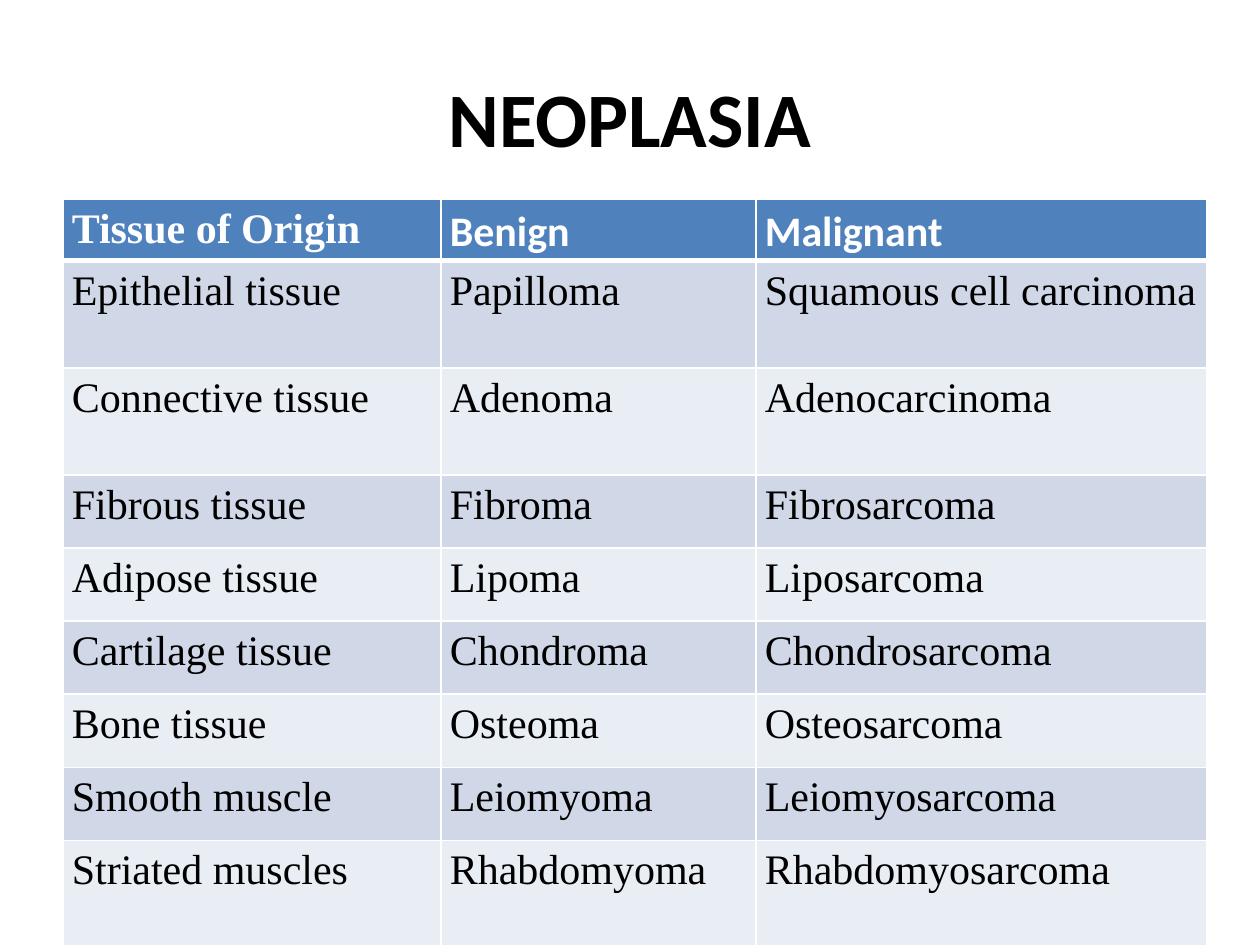
from dataclasses import dataclass
from typing import NamedTuple

from lxml.etree import SubElement
from pptx import Presentation
from pptx.dml.color import RGBColor
from pptx.enum.text import MSO_ANCHOR, PP_ALIGN
from pptx.oxml.ns import qn
from pptx.util import Inches, Pt


@dataclass(frozen=True)
class Theme:
    heading_font: str = "Calibri"
    body_font: str = "Times New Roman"
    title_size: int = 44
    table_size: int = 24
    black: str = "000000"
    white: str = "FFFFFF"
    header_fill: str = "4F81BD"
    bands: tuple[str, str] = ("D0D8E8", "E9EDF4")
    grid_width: int = 1
    header_rule_width: int = 3


class Tumour(NamedTuple):
    tissue: str
    benign: str
    malignant: str
    height: float = 0.58


THEME = Theme()
HEADER = Tumour("Tissue of Origin", "Benign", "Malignant", 0.49)
TUMOURS = [
    Tumour("Epithelial tissue", "Papilloma", "Squamous cell carcinoma", 0.85),
    Tumour("Connective tissue", "Adenoma", "Adenocarcinoma", 0.85),
    Tumour("Fibrous tissue", "Fibroma", "Fibrosarcoma"),
    Tumour("Adipose tissue", "Lipoma", "Liposarcoma"),
    Tumour("Cartilage tissue", "Chondroma", "Chondrosarcoma"),
    Tumour("Bone tissue", "Osteoma", "Osteosarcoma"),
    Tumour("Smooth muscle", "Leiomyoma", "Leiomyosarcoma"),
    Tumour("Striated muscles", "Rhabdomyoma", "Rhabdomyosarcoma", 0.85),
]
COLUMN_WIDTHS = (3, 2.5, 3.58)


def write_text(frame, text: str, *, size: int, font: str, color: str,
               bold: bool = False, align=PP_ALIGN.JUSTIFY,
               line_spacing: float = 1.0) -> None:
    paragraph = frame.paragraphs[0]
    paragraph.alignment = align
    paragraph.line_spacing = line_spacing
    run = paragraph.add_run()
    run.text = text
    run.font.size = Pt(size)
    run.font.name = font
    run.font.bold = bold
    run.font.color.rgb = RGBColor.from_string(color)


def add_title(slide, text: str) -> None:
    title = slide.shapes.add_textbox(Inches(0.5), Inches(0.3), Inches(9), Inches(1.25))
    title.text_frame.word_wrap = True
    title.text_frame.vertical_anchor = MSO_ANCHOR.MIDDLE
    write_text(title.text_frame, text, size=THEME.title_size, font=THEME.heading_font,
               color=THEME.black, bold=True, align=PP_ALIGN.CENTER)


def add_borders(cell, top: int, bottom: int) -> None:
    """Draw white cell edges; must run before the fill, which follows them in the XML."""
    properties = cell._tc.get_or_add_tcPr()
    widths = {"lnL": THEME.grid_width, "lnR": THEME.grid_width, "lnT": top, "lnB": bottom}
    for edge, width in widths.items():
        line = SubElement(properties, qn(f"a:{edge}"), w=str(Pt(width)))
        fill = SubElement(line, qn("a:solidFill"))
        SubElement(fill, qn("a:srgbClr"), val=THEME.white)


def style_cell(cell, fill: str, top: int, bottom: int) -> None:
    cell.margin_left = cell.margin_right = Inches(0.07)
    cell.margin_top = cell.margin_bottom = 0
    add_borders(cell, top, bottom)
    cell.fill.solid()
    cell.fill.fore_color.rgb = RGBColor.from_string(fill)


def add_tumour_table(slide) -> None:
    rows = [HEADER, *TUMOURS]
    table = slide.shapes.add_table(
        len(rows), len(COLUMN_WIDTHS), Inches(0.5), Inches(1.58),
        Inches(sum(COLUMN_WIDTHS)), Inches(sum(row.height for row in rows))).table
    for column, width in zip(table.columns, COLUMN_WIDTHS):
        column.width = Inches(width)

    for r, tumour in enumerate(rows):
        table.rows[r].height = Inches(tumour.height)
        is_header = r == 0
        fill = THEME.header_fill if is_header else THEME.bands[(r - 1) % 2]
        top = THEME.header_rule_width if r == 1 else THEME.grid_width
        bottom = THEME.header_rule_width if is_header else THEME.grid_width
        for c, text in enumerate((tumour.tissue, tumour.benign, tumour.malignant)):
            cell = table.cell(r, c)
            style_cell(cell, fill, top, bottom)
            write_text(
                cell.text_frame, text, size=THEME.table_size,
                font=THEME.heading_font if is_header and c > 0 else THEME.body_font,
                color=THEME.white if is_header else THEME.black, bold=is_header,
                align=PP_ALIGN.LEFT if (r, c) == (1, 2) else PP_ALIGN.JUSTIFY,
                line_spacing=1.15)


def main() -> None:
    presentation = Presentation()
    presentation.slide_width = Inches(10)
    presentation.slide_height = Inches(7.5)
    slide = presentation.slides.add_slide(presentation.slide_layouts[6])
    add_title(slide, "NEOPLASIA")
    add_tumour_table(slide)
    presentation.save("out.pptx")


if __name__ == "__main__":
    main()
